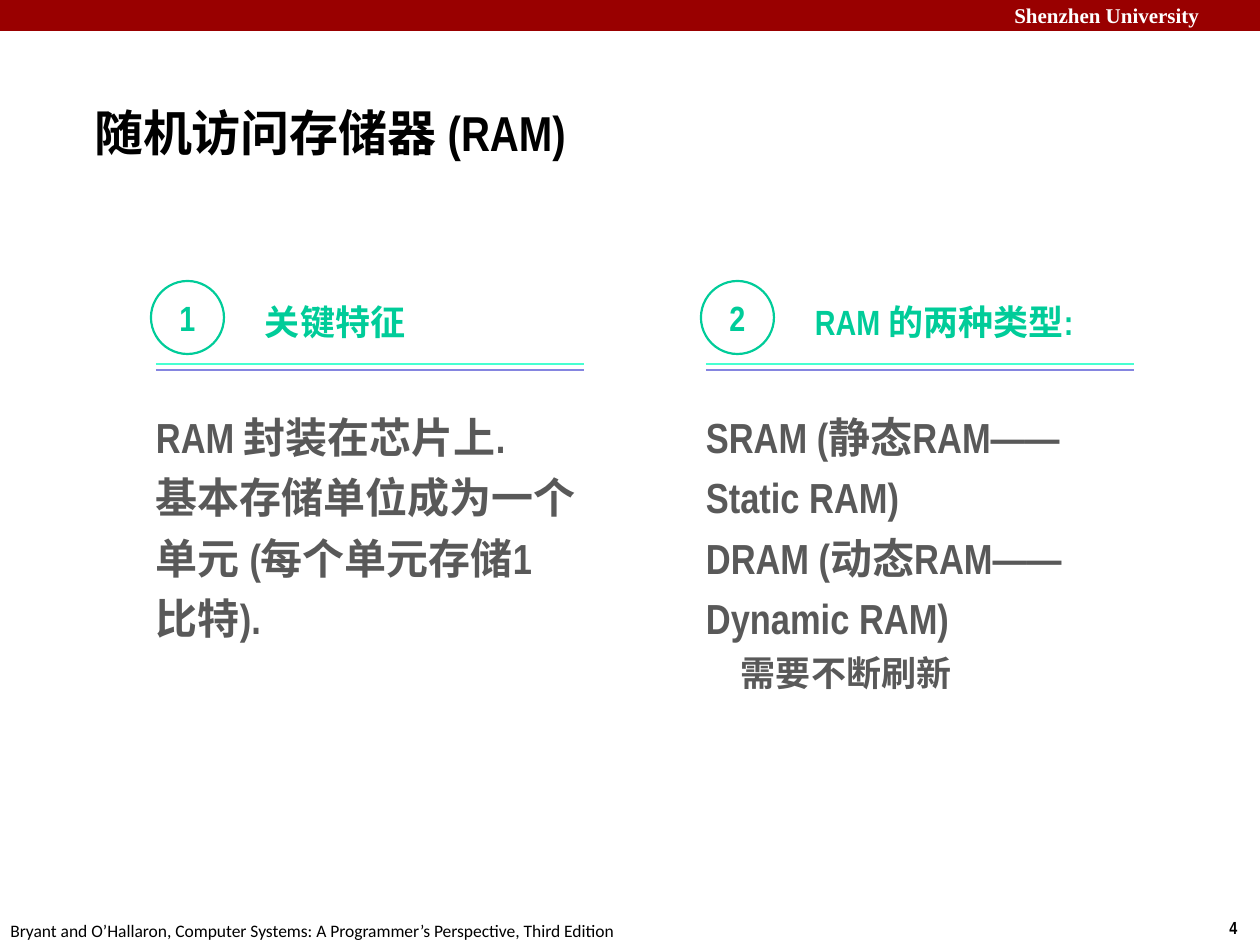
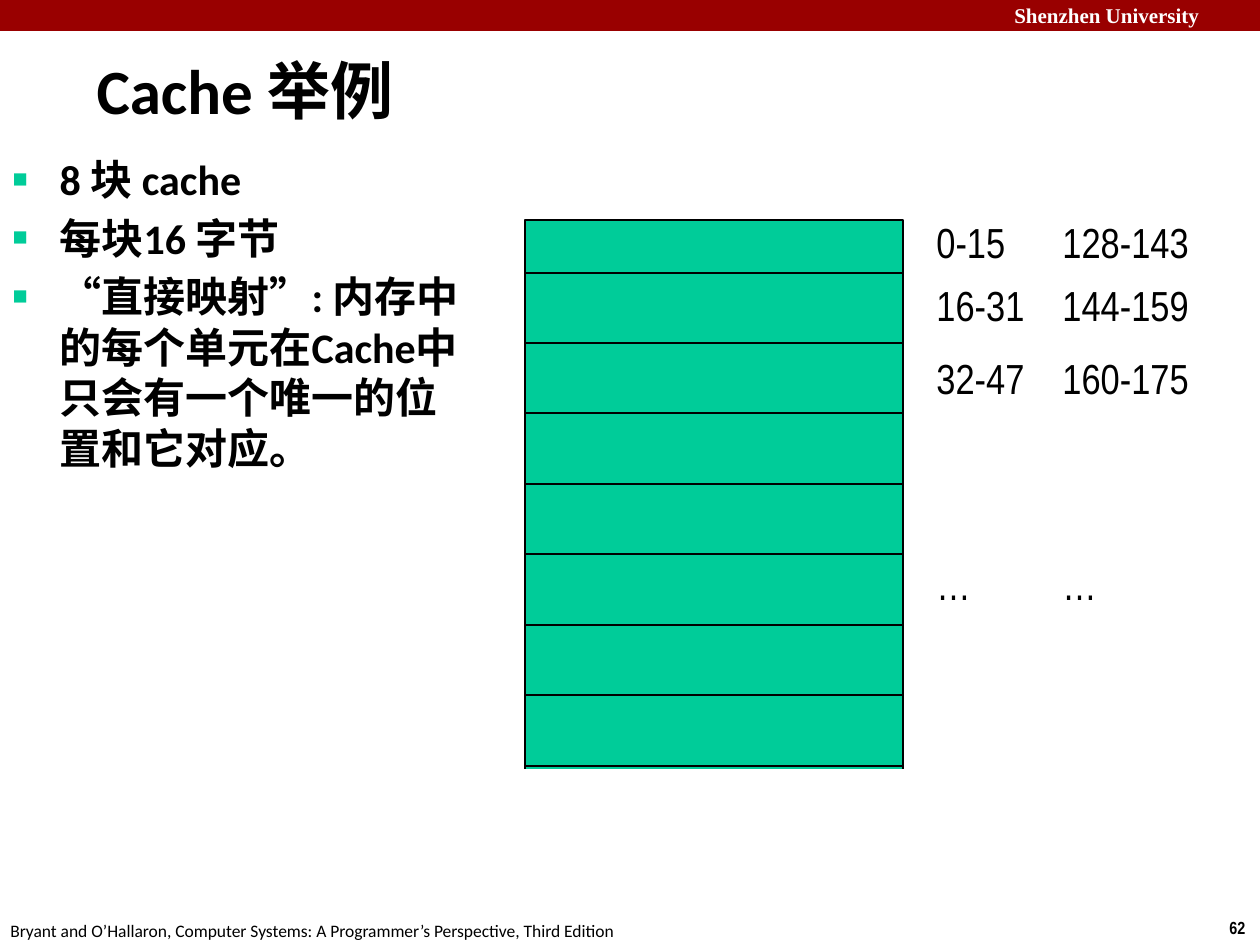
import pptx
import pptx.dml.color
import pptx.enum.shapes
import pptx.enum.text
import pptx.oxml
import pptx.oxml.ns
import pptx.util

RGB = pptx.dml.color.RGBColor
SHAPE = pptx.enum.shapes.MSO_SHAPE
ALIGN = pptx.enum.text.PP_ALIGN
ANCHOR = pptx.enum.text.MSO_ANCHOR
FIT = pptx.enum.text.MSO_AUTO_SIZE
Pt = pptx.util.Pt

RED = RGB(0x99, 0x00, 0x00)
GREEN = RGB(0x00, 0xCC, 0x99)
MINT = RGB(0x47, 0xFF, 0xD1)
LILAC = RGB(0x85, 0x85, 0xE0)
GREY = RGB(0x59, 0x59, 0x59)
BLACK = RGB(0x00, 0x00, 0x00)
WHITE = RGB(0xFF, 0xFF, 0xFF)

NARROW, CALIBRI, TIMES = "Arial Narrow", "Calibri", "Times New Roman"
PX_PER_INCH = 126
SOURCE = "Bryant and O’Hallaron, Computer Systems: A Programmer’s Perspective, Third Edition"
NO_MARGINS = dict.fromkeys(("margin_left", "margin_top", "margin_right", "margin_bottom"), 0)


def px(n):
    return round(n * 914400 / PX_PER_INCH)


def apply(obj, values):
    for name, value in values.items():
        setattr(obj, name, value)


def place(sp, box):
    apply(sp, dict(zip(("left", "top", "width", "height"), map(px, box))))


def write(tf, lines, color, frame=None, para=None, **font):
    apply(tf, frame or {})
    for i, text in enumerate(lines):
        p = tf.paragraphs[0] if i == 0 else tf.add_paragraph()
        apply(p, para or {})
        r = p.add_run()
        r.text = text
        apply(r.font, font)
        r.font.color.rgb = color


def add_text(s, box, lines, color, frame=None, para=None, **font):
    sp = s.shapes.add_textbox(*map(px, box))
    frame = {"word_wrap": True, "auto_size": FIT.SHAPE_TO_FIT_TEXT, **(frame or {})}
    write(sp.text_frame, lines, color, frame, para, **font)
    return sp


def add_shape(s, kind, box, fill=None, line=None, width=1):
    sp = s.shapes.add_shape(kind, *map(px, box))
    sp.shadow.inherit = False
    if fill is None:
        sp.fill.background()
    else:
        sp.fill.solid()
        sp.fill.fore_color.rgb = fill
    if line is None:
        sp.line.fill.background()
    else:
        sp.line.color.rgb = line
        sp.line.width = Pt(width)
    return sp


def add_rule(s, x, y, w, color):
    c = s.shapes.add_connector(pptx.enum.shapes.MSO_CONNECTOR.STRAIGHT,
                               px(x), px(y), px(x + w), px(y))
    c.line.color.rgb = color
    c.line.width = Pt(1)
    pptx.oxml.ns.qn("a:effectLst")
    c._element.spPr.append(pptx.oxml.parse_xml(
        f"<a:effectLst {pptx.oxml.ns.nsdecls('a')}/>"))


def add_indent(p, left, hanging=0):
    pPr = p._p.get_or_add_pPr()
    pPr.set("marL", str(px(left)))
    pPr.set("indent", str(px(-hanging)))
    return pPr


def add_bullet(p):
    pPr = add_indent(p, 47, 47)
    for xml in (f'<a:buClr {{}}><a:srgbClr val="{GREEN}"/></a:buClr>',
                '<a:buSzPct {} val="60000"/>',
                '<a:buChar {} char="■"/>'):
        pPr.append(pptx.oxml.parse_xml(xml.format(pptx.oxml.ns.nsdecls("a"))))


def add_frame(s, number):
    add_shape(s, SHAPE.RECTANGLE, (0, 0, 1260, 31), RED)
    add_text(s, (1002, -4, 267, 38), ["Shenzhen University"], WHITE,
             name=TIMES, size=Pt(12), bold=True)
    one_line = {"word_wrap": False}
    add_text(s, (1217, 911, 43, 34), [str(number)], BLACK, one_line,
             name=NARROW, size=Pt(10), bold=True)
    add_text(s, (-2, 914, 641, 34), [SOURCE], BLACK, one_line, name=CALIBRI, size=Pt(10))


def new_slide(prs, layout, number, title, box, frame, align, **font):
    s = prs.slides.add_slide(prs.slide_layouts[layout])
    add_frame(s, number)
    place(s.shapes.title, box)
    write(s.shapes.title.text_frame, [title], BLACK,
          {"vertical_anchor": ANCHOR.MIDDLE, "auto_size": FIT.NONE, **frame},
          {"alignment": align}, bold=True, **font)
    return s


def add_topic(s, x, y, number, heading, lines):
    style = {"name": NARROW, "size": Pt(20), "bold": True}
    middle = {"vertical_anchor": ANCHOR.MIDDLE, **NO_MARGINS}
    badge = add_shape(s, SHAPE.OVAL, (x, y, 73, 73), line=GREEN, width=1.25)
    write(badge.text_frame, [str(number)], GREEN, middle, {"alignment": ALIGN.CENTER}, **style)
    add_text(s, (x + 114, y + 11, 306, 50), [heading], GREEN, middle,
             {"line_spacing": 1.2}, **style)
    for dy, color in ((83, MINT), (89, LILAC)):
        add_rule(s, x + 5, y + dy, 428, color)
    return add_text(s, (x + 5, y + 120, 427, 244), lines, GREY, NO_MARGINS,
                    {"line_spacing": 1.2}, name=NARROW, size=Pt(24), bold=True)


def add_ram_slide(prs):
    s = new_slide(prs, 5, 4, "随机访问存储器 (RAM)", (3, 84, 654, 95),
                  NO_MARGINS, ALIGN.CENTER, name=NARROW, size=Pt(28))
    add_topic(s, 151, 281, 1, "关键特征",
              ["RAM 封装在芯片上.", "基本存储单位成为一个单元 (每个单元存储1 比特)."])
    types = add_topic(s, 701, 281, 2, "RAM 的两种类型:",
                      ["SRAM (静态RAM—— Static RAM)",
                       "DRAM (动态RAM—— Dynamic RAM)", "需要不断刷新"])
    refresh = types.text_frame.paragraphs[-1]
    refresh.level = 1
    add_indent(refresh, 35)
    refresh.runs[0].font.size = Pt(20)


def add_cache_blocks(s, x, y, w):
    add_shape(s, SHAPE.RECTANGLE, (x, y, w, 588), GREEN, BLACK)
    for i in range(8):
        add_rule(s, x, y + 53 + i * 493 // 7, w, BLACK)
    add_shape(s, SHAPE.RECTANGLE, (x - 22, y + 550, w + 42, 63), WHITE, WHITE)


def add_addresses(s, x, y, labels):
    for dy, (label, w) in zip((0, 63, 136, 342), labels):
        add_text(s, (x, y + dy, w, 63), [label], BLACK, {"word_wrap": False},
                 name=NARROW, size=Pt(24))


def add_cache_slide(prs):
    s = new_slide(prs, 1, 62, "Cache 举例", (84, 31, 1071, 116),
                  {}, ALIGN.LEFT, name=CALIBRI, size=Pt(36))
    add_indent(s.shapes.title.text_frame.paragraphs[0], 16, 16)
    body = s.placeholders[1]
    place(body, (0, 147, 473, 777))
    tf = body.text_frame
    write(tf, ["8 块 cache", "每块16 字节",
               "“直接映射”: 内存中的每个单元在Cache中只会有一个唯一的位置和它对应。"],
          BLACK, {"auto_size": FIT.NONE}, name=CALIBRI, size=Pt(24), bold=True)
    for i, p in enumerate(tf.paragraphs):
        add_bullet(p)
        p.space_before = Pt(4.8 if i else 0)
    add_cache_blocks(s, 525, 220, 378)
    add_addresses(s, 924, 210, [("0-15", 102), ("16-31", 123), ("32-47", 123), ("…", 67)])
    add_addresses(s, 1050, 210,
                  [("128-143", 165), ("144-159", 165), ("160-175", 165), ("…", 67)])


def main():
    prs = pptx.Presentation()
    prs.slide_width, prs.slide_height = px(1260), px(945)
    add_ram_slide(prs)
    add_cache_slide(prs)
    prs.save("out.pptx")


if __name__ == "__main__":
    main()
